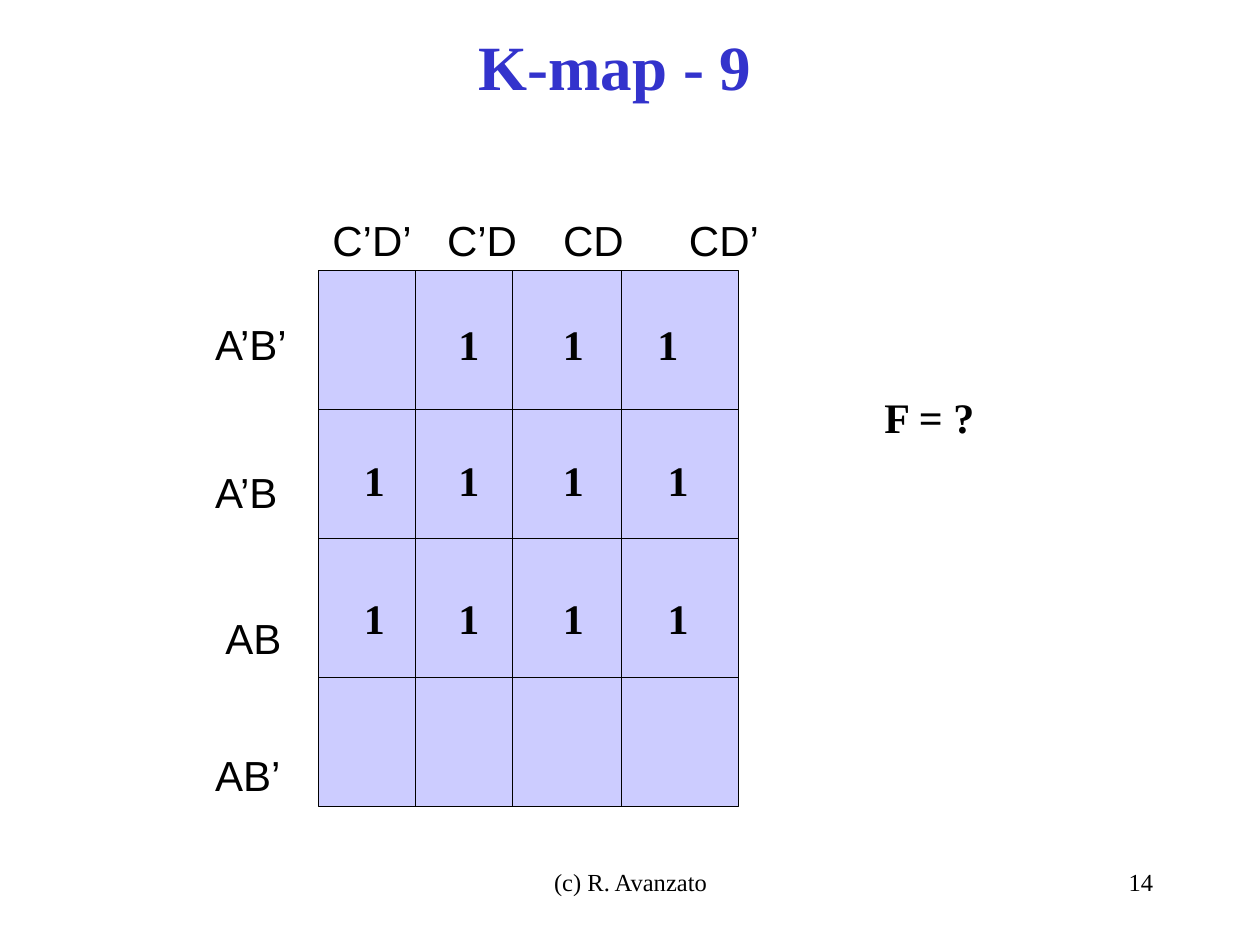
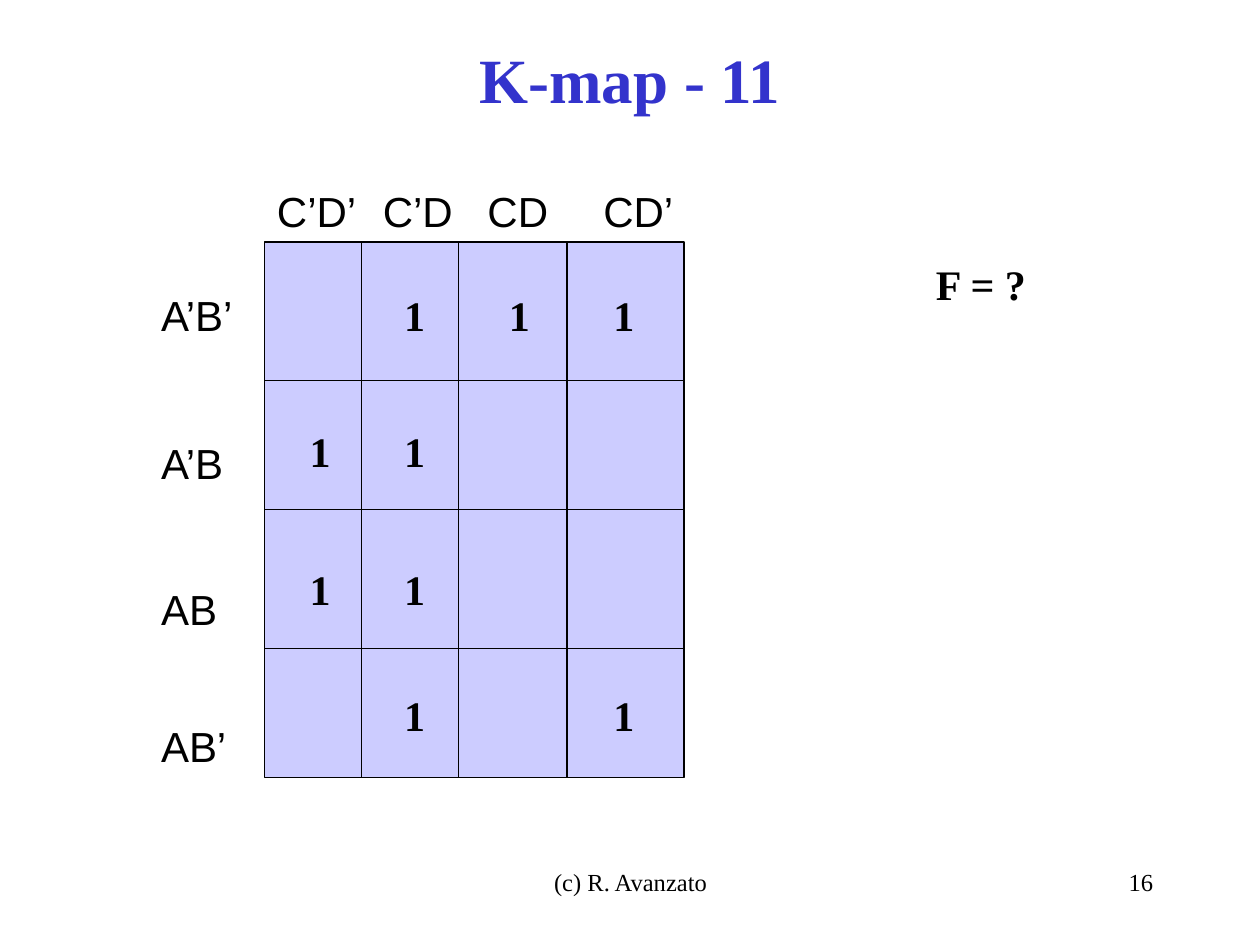
import pptx
import pptx.util
import pptx.dml.color
import pptx.enum.shapes
import pptx.enum.text
import pptx.oxml.ns
import lxml.etree

Inches = pptx.util.Inches
Pt = pptx.util.Pt
ALIGN = pptx.enum.text.PP_ALIGN
SERIF, SANS = "Times New Roman", "Arial"
BLACK, BLUE, LILAC = "000000", "3333CC", "CCCCFF"
WIDE, HALF = 3.33, 2.125
CUTS = [0.77, 1.54, 2.4]
SPLIT = 1.1
ONE_X = [0.26, 1.01, 1.84, 2.67]
ONE_Y = [0.33, 1.41, 2.5, 3.5]
COLS = [("C’D’", 0.84), ("C’D", 0.77), ("CD", 0.69), ("CD’", 0.77)]
ROWS = [("A’B’", 0.8, 0.33), ("A’B", 0.73, 1.5), ("AB", 0.66, 2.66), ("AB’", 0.73, 3.75)]


def paint(hue):
    return pptx.dml.color.RGBColor.from_string(hue)


def write(box, text, size=24, face=SERIF, bold=False, hue=BLACK, align=ALIGN.LEFT, wrap=False):
    frame = box.text_frame
    frame.text = text
    frame.word_wrap = wrap
    if not wrap:
        frame.auto_size = pptx.enum.text.MSO_AUTO_SIZE.SHAPE_TO_FIT_TEXT
    para = frame.paragraphs[0]
    para.alignment = align
    font = para.runs[0].font
    font.size, font.name, font.bold = Pt(size), face, bold
    font.color.rgb = paint(hue)


maps = [
    dict(name="K-map - 9", page="14", title=(0.63, -0.04, 8.5, 1.12), left=2.53, top=2.15,
         heads=[0.01, 0.92, 1.84, 2.84], bits=["0111", "1111", "1111", "0000"],
         nudge={(0, 3): -0.08}, shift={"AB": 0.08}, ask=(6.92, 3.06)),
    dict(name="K-map - 11", page="16", title=(0.75, 0, 8.5, 1.25), left=2.1, top=1.92,
         heads=[0, 0.84, 1.67, 2.59], bits=["0111", "1100", "1100", "0101"],
         nudge={}, shift={}, ask=(7.33, 2)),
]

deck = pptx.Presentation()
deck.slide_width, deck.slide_height = Inches(10), Inches(7.5)

for kmap in maps:
    slide = deck.slides.add_slide(deck.slide_layouts[5])
    shapes = slide.shapes
    left, top = kmap["left"], kmap["top"]

    title = shapes.title
    title.left, title.top, title.width, title.height = map(Inches, kmap["title"])
    write(title, kmap["name"], 36, bold=True, hue=BLUE, align=ALIGN.CENTER, wrap=True)
    title.text_frame.vertical_anchor = pptx.enum.text.MSO_ANCHOR.MIDDLE

    for x, width, text, align in [(3.42, 3.17, "(c) R. Avanzato", ALIGN.CENTER),
                                  (7.17, 2.08, kmap["page"], ALIGN.RIGHT)]:
        box = shapes.add_textbox(Inches(x), Inches(6.83), Inches(width), Inches(0.5))
        write(box, text, 14, align=align, wrap=True)

    for y in (top, top + HALF):
        block = shapes.add_shape(pptx.enum.shapes.MSO_SHAPE.RECTANGLE,
                                 Inches(left), Inches(y), Inches(WIDE), Inches(HALF))
        block.shadow.inherit = False
        block.fill.solid()
        block.fill.fore_color.rgb = paint(LILAC)
        block.line.color.rgb = paint(BLACK)
        block.line.width = Pt(0.75)
        rules = [(left, y + SPLIT, left + WIDE, y + SPLIT)]
        rules += [(left + cut, y, left + cut, y + HALF) for cut in CUTS]
        for ends in rules:
            rule = shapes.add_connector(pptx.enum.shapes.MSO_CONNECTOR.STRAIGHT, *map(Inches, ends))
            rule.line.color.rgb = paint(BLACK)
            rule.line.width = Pt(0.75)
            lxml.etree.SubElement(rule._element.spPr, pptx.oxml.ns.qn("a:effectLst"))

    for (text, width), x in zip(COLS, kmap["heads"]):
        box = shapes.add_textbox(Inches(left + x), Inches(top - 0.5), Inches(width), Inches(0.5))
        write(box, text, face=SANS)

    for text, width, y in ROWS:
        x = left - 0.92 + kmap["shift"].get(text, 0)
        box = shapes.add_textbox(Inches(x), Inches(top + y), Inches(width), Inches(0.5))
        write(box, text, face=SANS)

    for row, bits in enumerate(kmap["bits"]):
        for col, bit in enumerate(bits):
            if bit == "1":
                x = left + ONE_X[col] + kmap["nudge"].get((row, col), 0)
                box = shapes.add_textbox(Inches(x), Inches(top + ONE_Y[row]), Inches(0.36), Inches(0.5))
                write(box, bit, bold=True)

    box = shapes.add_textbox(*map(Inches, kmap["ask"]), Inches(0.92), Inches(0.5))
    write(box, "F = ?", bold=True)

deck.save("out.pptx")
